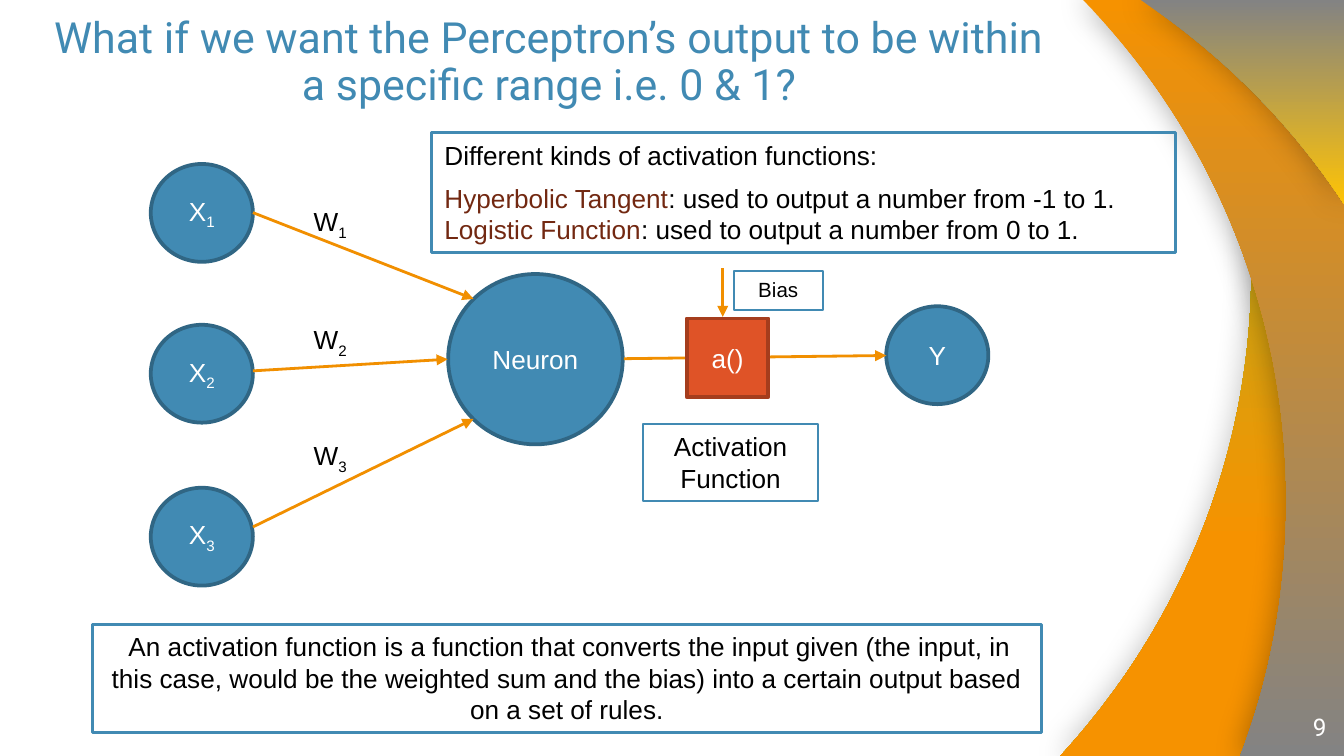
from lxml.etree import SubElement
from pptx import Presentation
from pptx.dml.color import RGBColor
from pptx.enum.shapes import MSO_CONNECTOR, MSO_SHAPE
from pptx.enum.text import MSO_ANCHOR, MSO_AUTO_SIZE, PP_ALIGN
from pptx.oxml.ns import qn
from pptx.util import Cm, Pt

COLORS = {
    "blue": "418AB3", "navy": "306684", "red": "DF5327", "rust": "A53D1D",
    "brown": "722811", "arrow": "F18F00", "orange": "F69200", "olive": "A6B727",
    "grey": "838383", "yellow": "FEC306", "black": "000000", "white": "FFFFFF",
}
WIDTH, HEIGHT = 25.4, 14.29
CORNERS = [(WIDTH, HEIGHT), (WIDTH, 0)]

BANDS = [
    {"start": (22.66, 0),
     "curves": [[(23.32, 1.63), (23.65, 3.33), (23.65, 5.08)],
                [(23.65, 8.64), (22.28, 11.86), (20.04, HEIGHT)]],
     "corners": CORNERS, "stops": [(0, "olive"), (0.72, "orange")], "shade": 25},
    {"start": (20.47, 0),
     "curves": [[(22.86, 2.44), (24.31, 5.79), (24.31, 9.47)],
                [(24.31, 11.13), (24.03, 12.75), (23.44, HEIGHT)]],
     "corners": CORNERS, "stops": [(0, "orange"), (1, "grey")], "shade": 35},
    {"start": (21.56, 0),
     "curves": [[(23.09, 1.02), (24.41, 2.34), (WIDTH, 3.86)]],
     "corners": CORNERS[1:], "stops": [(0, "grey"), (1, "yellow")], "shade": 30},
]

TITLE = "What if we want the Perceptron’s output to be within a specific range i.e. 0 & 1?"
RULE = (" An activation function is a function that converts the input given "
        "(the input, in this case, would be the weighted sum and the bias) "
        "into a certain output based on a set of rules.")
KINDS = [
    [("Different kinds of activation functions:", "black")],
    [("Hyperbolic Tangent", "brown"), (": used to output a number from -1 to 1.", "black")],
    [("Logistic Function", "brown"), (": used to output a number from 0 to 1.", "black")],
]

NODE_SIZE = (1.93, 1.85)
INPUT_LEFT, INPUT_TOPS = 2.85, [3.1, 6.14, 9.22]
WEIGHT_LEFT, WEIGHT_TOPS = 5.68, [3.76, 5.99, 8.18]
ARROWS = [
    ((4.78, 4.02), (8.95, 5.65)),
    ((4.78, 7.01), (8.46, 6.79)),
    ((4.78, 9.96), (8.95, 7.92)),
    ((11.79, 6.78), (16.75, 6.72)),
]
BIAS_ARROW = ((13.66, 5.07), (13.66, 5.99))
NOTES = [
    ((12.16, 8.02, 3.3, 1.45), [[("Activation Function", "black")]], 14, 1, PP_ALIGN.CENTER),
    ((1.75, 11.8, 17.93, 2.05), [[(RULE, "black")]], 14, 1.5, PP_ALIGN.CENTER),
    ((8.15, 2.51, 14.07, 2.26), KINDS, 14, 1.5, PP_ALIGN.LEFT),
    ((13.87, 5.12, 1.68, 0.74), [[("Bias", "black")]], 11, 1, PP_ALIGN.CENTER),
]


def color(name):
    return RGBColor.from_string(COLORS[name])


def write(shape, paragraphs, size=14, align=PP_ALIGN.CENTER, anchor=MSO_ANCHOR.MIDDLE,
          font="Arial", wrap=True, grow=False):
    frame = shape.text_frame
    frame.word_wrap = wrap
    frame.vertical_anchor = anchor
    if grow:
        frame.auto_size = MSO_AUTO_SIZE.SHAPE_TO_FIT_TEXT
    for index, runs in enumerate(paragraphs):
        paragraph = frame.add_paragraph() if index else frame.paragraphs[0]
        paragraph.alignment = align
        if len(paragraphs) > 1 and index == 0:
            paragraph.space_after = Pt(6)
        for text, tint, *subscript in runs:
            span = paragraph.add_run()
            span.text = text
            span.font.name = font
            span.font.size = Pt(size)
            span.font.color.rgb = color(tint)
            if subscript:
                span.font._element.set("baseline", "-25000")
    return frame


def add_text(page, place, paragraphs, **options):
    box = page.shapes.add_textbox(*map(Cm, place))
    return write(box, paragraphs, **options)


def add_plain_text(page, place, text, tint, size, align, anchor):
    frame = add_text(page, place, [[(text, tint)]], size=size, align=align,
                     anchor=anchor, font="Roboto")
    frame.margin_left = frame.margin_right = frame.margin_top = frame.margin_bottom = 0
    return frame


def add_block(page, kind, place, fill, line, weight):
    shape = page.shapes.add_shape(kind, *map(Cm, place))
    shape.shadow.inherit = False
    if fill:
        shape.fill.solid()
        shape.fill.fore_color.rgb = color(fill)
    else:
        shape.fill.background()
    shape.line.color.rgb = color(line)
    shape.line.width = Pt(weight)
    return shape


def add_node(page, place, runs):
    write(add_block(page, MSO_SHAPE.OVAL, place, "blue", "navy", 2), [runs])


def add_arrow(page, start, end):
    arrow = page.shapes.add_connector(MSO_CONNECTOR.STRAIGHT, *map(Cm, start + end))
    arrow.line.color.rgb = color("arrow")
    arrow.line.width = Pt(1.5)
    SubElement(arrow.line._get_or_add_ln(), qn("a:tailEnd"), type="triangle")
    SubElement(arrow._element.spPr, qn("a:effectLst"))


def bend(shape, curve_count):
    segments = list(shape._element.iter(qn("a:lnTo")))
    for first in range(0, 3 * curve_count, 3):
        curve, *others = segments[first:first + 3]
        curve.tag = qn("a:cubicBezTo")
        for segment in others:
            curve.append(segment[0])
            segment.getparent().remove(segment)


def add_band(page, band):
    outline = [band["start"], *sum(band["curves"], []), *band["corners"]]
    points = [(Cm(x), Cm(y)) for x, y in outline]
    builder = page.shapes.build_freeform(*points[0])
    builder.add_line_segments(points[1:], close=True)
    shape = builder.convert_to_shape()
    bend(shape, len(band["curves"]))
    shape.line.fill.background()
    shape.fill.gradient()
    shape.fill.gradient_angle = 270
    for stop, (position, tint) in zip(shape.fill.gradient_stops, band["stops"]):
        stop.position = position
        stop.color.rgb = color(tint)
    shape.shadow.inherit = False
    effects = shape._element.spPr.find(qn("a:effectLst"))
    shadow = SubElement(effects, qn("a:outerShdw"), blurRad=str(Pt(16.9)), dist="0", dir="0")
    tone = SubElement(shadow, qn("a:srgbClr"), val=COLORS["black"])
    SubElement(tone, qn("a:alpha"), val=str(band["shade"] * 1000))


def main():
    deck = Presentation()
    deck.slide_width, deck.slide_height = Cm(WIDTH), Cm(HEIGHT)
    page = deck.slides.add_slide(deck.slide_layouts[6])
    for band in BANDS:
        add_band(page, band)
    title = add_plain_text(page, (0.72, 0.98, 19.33, 1.09), TITLE, "blue", 23,
                           PP_ALIGN.CENTER, MSO_ANCHOR.BOTTOM)
    title.paragraphs[0].line_spacing = 0.9
    add_plain_text(page, (23.55, 13.19, 1.52, 1.09), "9", "white", 13,
                   PP_ALIGN.RIGHT, MSO_ANCHOR.MIDDLE)

    add_node(page, (8.47, 5.18, 3.3, 3.22), [("Neuron", "white")])
    for number, (input_top, weight_top) in enumerate(zip(INPUT_TOPS, WEIGHT_TOPS), 1):
        add_node(page, (INPUT_LEFT, input_top, *NODE_SIZE),
                 [("X", "white"), (str(number), "white", True)])
        add_text(page, (WEIGHT_LEFT, weight_top, 1.17, 0.86),
                 [[("W", "black"), (str(number), "black", True)]],
                 align=PP_ALIGN.LEFT, anchor=MSO_ANCHOR.TOP, wrap=False, grow=True)
    add_node(page, (16.75, 5.79, *NODE_SIZE), [("Y", "white")])
    for start, end in ARROWS:
        add_arrow(page, start, end)
    activation = add_block(page, MSO_SHAPE.RECTANGLE, (12.98, 6.02, 1.54, 1.49),
                           "red", "rust", 2)
    write(activation, [[("a()", "white")]])
    for place, paragraphs, size, weight, align in NOTES:
        note = add_block(page, MSO_SHAPE.RECTANGLE, place, None, "blue", weight)
        write(note, paragraphs, size=size, align=align, anchor=MSO_ANCHOR.TOP, grow=True)
    add_arrow(page, *BIAS_ARROW)
    deck.save("out.pptx")


if __name__ == "__main__":
    main()
